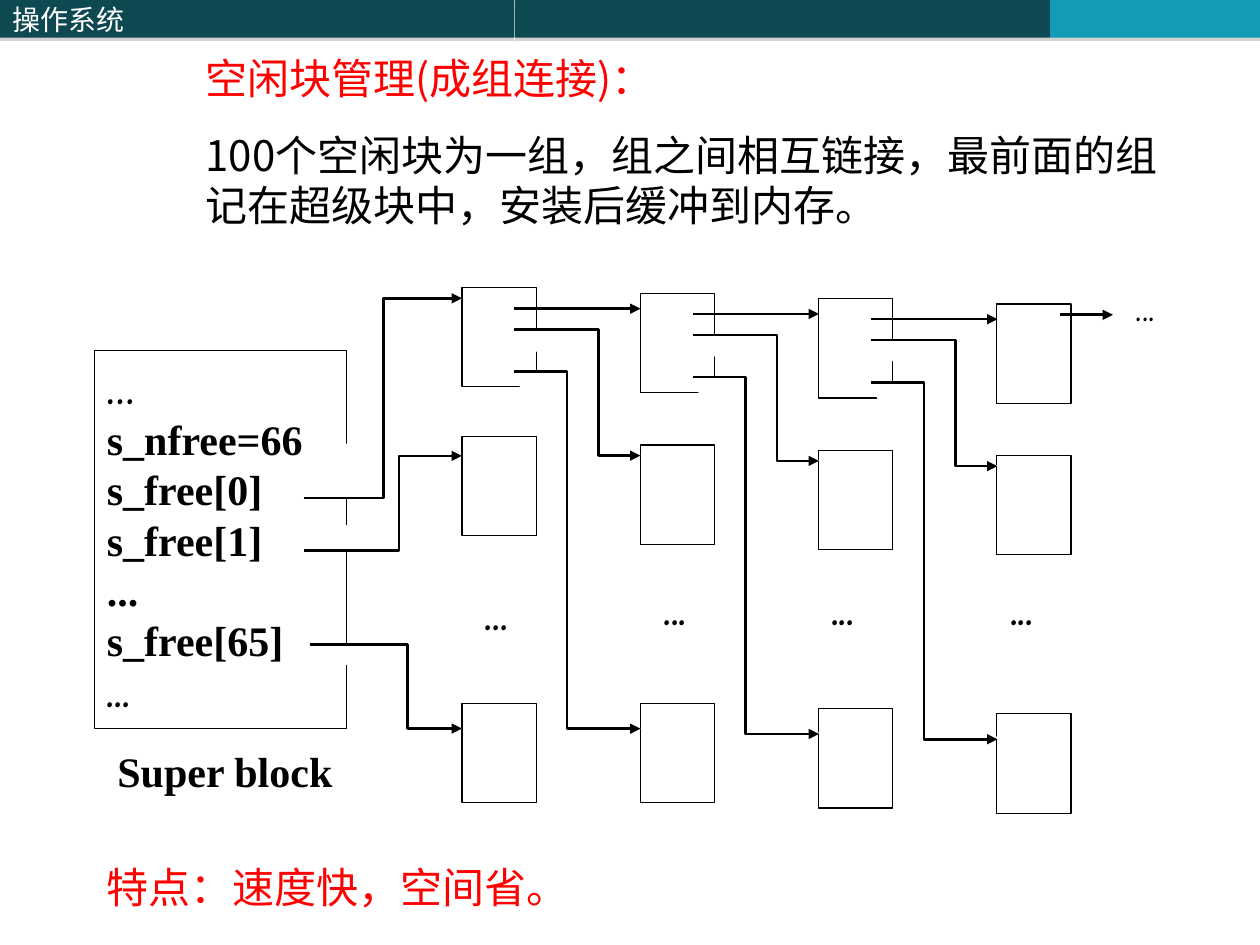
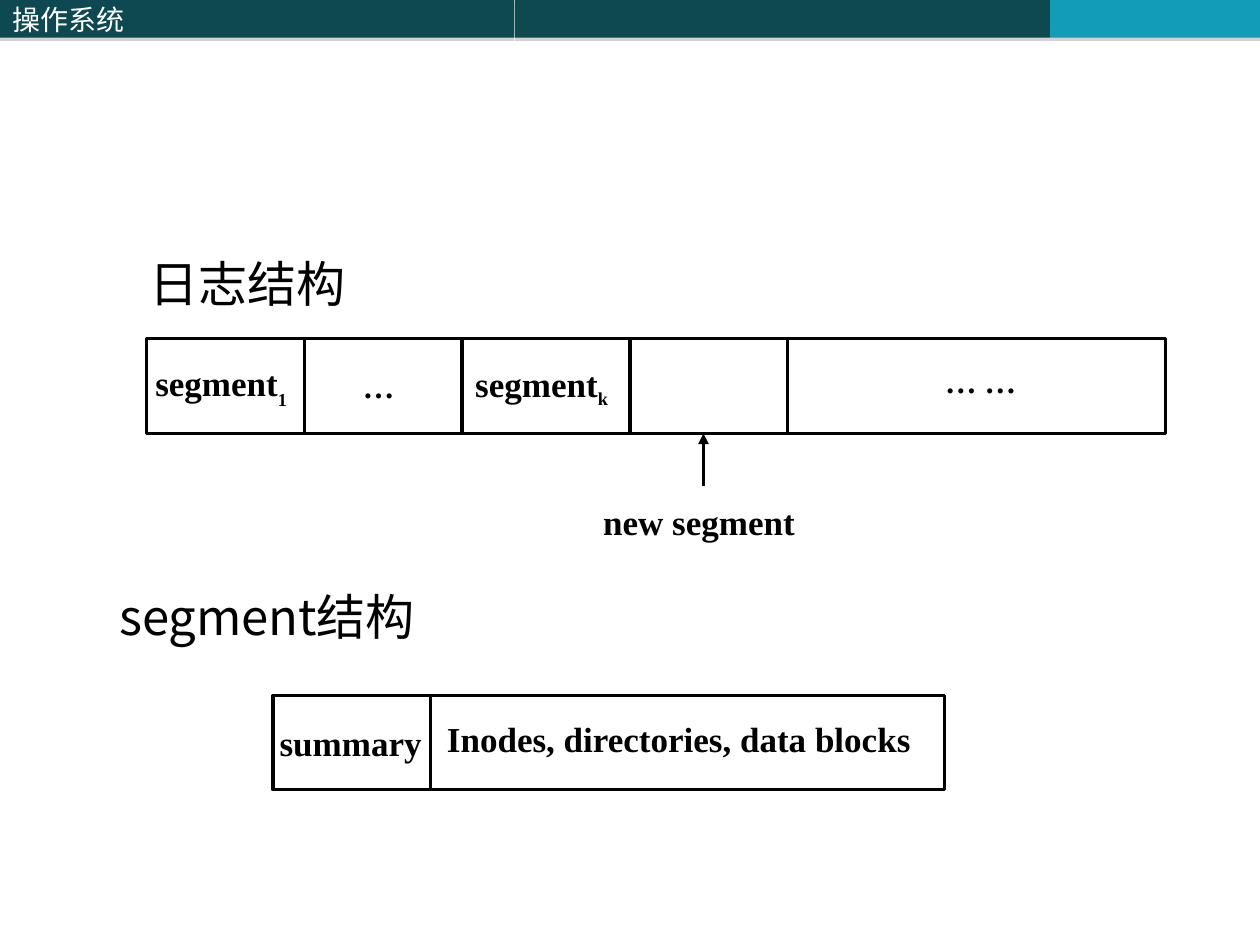
from lxml import etree
from pptx import Presentation
from pptx.dml.color import RGBColor
from pptx.enum.shapes import MSO_CONNECTOR, MSO_SHAPE
from pptx.enum.text import MSO_ANCHOR, MSO_AUTO_SIZE, PP_ALIGN
from pptx.oxml import parse_xml
from pptx.oxml.ns import qn
from pptx.util import Pt

RECT, LINE = MSO_SHAPE.RECTANGLE, MSO_CONNECTOR.STRAIGHT
LEFT, MID = PP_ALIGN.LEFT, PP_ALIGN.CENTER
TOP, HALF = MSO_ANCHOR.TOP, MSO_ANCHOR.MIDDLE
FIXED = MSO_AUTO_SIZE.NONE
HEX = {"dark": "0E4851", "blue": "139CB7", "red": "FF0000", "ink": "000000", "white": "FFFFFF"}
HAN, ROMAN, COMIC = "Noto Sans CJK SC", "Times New Roman", "Comic Neue"
SHADE = (
    '<a:effectLst xmlns:a="http://schemas.openxmlformats.org/drawingml/2006/main">'
    '<a:outerShdw blurRad="0" dist="22860" dir="5400000"><a:srgbClr val="808080">'
    '<a:alpha val="35000"/></a:srgbClr></a:outerShdw></a:effectLst>'
)


def tint(name):
    """Return a named colour."""
    return RGBColor.from_string(HEX[name])


def write(shape, lines, size=24, font=ROMAN, color="ink", bold=False,
          align=LEFT, anchor=TOP, wrap=True, lead=None):
    """Fill a shape with lines, each a string or a list of (text, size, shift) runs."""
    frame = shape.text_frame
    frame.auto_size, frame.word_wrap, frame.vertical_anchor = FIXED, wrap, anchor
    frame.margin_left = frame.margin_right = Pt(7.2)
    frame.margin_top = frame.margin_bottom = Pt(3.6)
    for num, line in enumerate(lines):
        para = frame.add_paragraph() if num else frame.paragraphs[0]
        para.alignment, para.space_before = align, Pt(0)
        if lead:
            para.line_spacing = Pt(lead)
        parts = [(line, size, 0)] if isinstance(line, str) else line
        for text, points, shift in parts:
            run = para.add_run()
            run.text = text
            run.font.size, run.font.bold, run.font.name = Pt(points), bold, font
            run.font.color.rgb = tint(color)
            props = run.font._element
            etree.SubElement(props, qn("a:ea")).set("typeface", font)
            if shift:
                props.set("baseline", str(shift * 1000))
    return shape


def paint(shape, fill=None, line=None):
    """Set the fill and outline width of a shape, with no shadow."""
    shape.shadow.inherit = False
    if fill:
        shape.fill.solid()
        shape.fill.fore_color.rgb = tint(fill)
    else:
        shape.fill.background()
    if line:
        shape.line.color.rgb, shape.line.width = tint("ink"), Pt(line)
    else:
        shape.line.fill.background()
    return shape


def block(slide, x, y, wide, high, fill=None, line=None):
    """Add a plain rectangle."""
    return paint(slide.shapes.add_shape(RECT, Pt(x), Pt(y), Pt(wide), Pt(high)), fill, line)


def label(slide, x, y, wide, high, lines, **style):
    """Add a text box."""
    return write(slide.shapes.add_textbox(Pt(x), Pt(y), Pt(wide), Pt(high)), lines, **style)


def note(slide, x, y, parts, size=20):
    """Add a bold label centred on a point."""
    label(slide, x - 60, y - 15, 120, 30, [parts], size=size, bold=True,
          align=MID, anchor=HALF, wrap=False)


def tip(line):
    """Put an arrowhead at the end of a line."""
    etree.SubElement(line._get_or_add_ln(), qn("a:tailEnd")).set("type", "triangle")


def rule(slide, x, y, to_x, to_y, width=1.75, head=False):
    """Draw a straight line, with an arrowhead on request."""
    line = slide.shapes.add_connector(LINE, Pt(x), Pt(y), Pt(to_x), Pt(to_y))
    line.line.color.rgb, line.line.width = tint("ink"), Pt(width)
    etree.SubElement(line._element.spPr, qn("a:effectLst"))
    if head:
        tip(line.line)


def elbow(slide, x, y, bend, to_x, to_y):
    """Draw a stepped arrow that turns at bend."""
    pen = slide.shapes.build_freeform(Pt(x), Pt(y))
    steps = [(bend, y), (bend, to_y), (to_x, to_y)]
    pen.add_line_segments([(Pt(a), Pt(b)) for a, b in steps], close=False)
    tip(paint(pen.convert_to_shape(), "white", 1.5).line)


def place(shape, x, y, wide, high):
    """Move a placeholder."""
    shape.left, shape.top, shape.width, shape.height = Pt(x), Pt(y), Pt(wide), Pt(high)
    return shape


def band(slide):
    """Draw the band across the top."""
    for x, wide, fill in [(0, 293.7, "dark"), (294, 306, "dark"), (600, 120, "blue")]:
        bar = block(slide, x, 0, wide, 21.6, fill)
        props = bar._element.spPr
        props.replace(props.find(qn("a:effectLst")), parse_xml(SHADE))
        if x == 0:
            write(bar, ["操作系统"], size=16, font=HAN, color="white", anchor=HALF)


def heads(slide, x, y, wide):
    """Place the title and the body of the free block slide."""
    title = place(slide.shapes.title, x, y, wide, 36)
    write(title, ["空闲块管理(成组连接)："], font=HAN, color="red", lead=28.6)
    body = place(slide.placeholders[1], x, y + 44, wide, 66)
    write(body, ["100个空闲块为一组，组之间相互链接，最前面的组记在超级块中，安装后缓冲到内存。"],
          font=HAN, lead=28.6)
    props = body.text_frame.paragraphs[0]._p.get_or_add_pPr()
    props.set("marL", "0")
    props.set("indent", "0")
    etree.SubElement(props, qn("a:buNone"))


def super_block(slide, x, y):
    """Draw the super block and its caption."""
    rows = ["…", "s_nfree=66", "s_free[0]", "s_free[1]", "...", "s_free[65]", "..."]
    box = block(slide, x, y, 144, 216, "white", 0.75)
    write(box, rows, bold=True, anchor=HALF, lead=28.8)
    paras = box.text_frame.paragraphs
    for para in (paras[0], paras[-1]):
        para.runs[0].font.name = COMIC
    label(slide, x + 6, y + 222.4, 138, 36, ["Super block"], bold=True, lead=28.8)


def dots(slide, x, y, bold=True):
    """Add an ellipsis."""
    label(slide, x, y, 42, 36, ["..."], font=COMIC, bold=bold, lead=28.8)


def group(slide, x, tops):
    """Draw one column of free blocks."""
    for y in tops:
        block(slide, x, y, 42.6, 56.8, "white", 0.75)


def link(slide, x, y):
    """Join one column to the next."""
    rule(slide, x, y, x + 72, y, 1.5, True)
    for bend, drop, rise in [(48, 12, 72), (30, 36, 204)]:
        elbow(slide, x, y + drop, x + bend, x + 72, y + drop + rise)


def chain(slide, x, y):
    """Draw the linked columns from the top left of the first block."""
    group(slide, x, [y, y + 85, y + 237.6])
    for sx, sy, bend, end in [(-90.5, 120.2, -45, 6.2), (-90, 150.2, -36, 96.2),
                              (-87, 204, -31, 252)]:
        elbow(slide, x + sx, y + sy, x + bend, x, y + end)
    dots(slide, x + 6, y + 168.4)
    for num in range(3):
        sink = y + 3 * num
        group(slide, x + 101.8 * (num + 1), [sink + 3.4, sink + 90, sink + 237.6])
        link(slide, x + 30 + 102 * num, sink + 12.1)
    for left in (108.2, 204, 306.2):
        dots(slide, x + left, y + 165.4)
    rule(slide, x + 342, y + 15.6, x + 372, y + 15.6, 1.5, True)
    dots(slide, x + 378, y - 8, bold=False)


def strip(slide, x, y, wide, cuts):
    """Draw a row split at the given offsets."""
    block(slide, x, y, wide, 54, line=1.75)
    for cut in cuts:
        rule(slide, x + cut, y, x + cut, y + 54)


def log(slide, x, y):
    """Draw the log row, its labels and the new segment arrow."""
    strip(slide, x, y, 582, [90, 180, 276, 366])
    note(slide, x + 42.4, y + 26.7, [("segment", 20, 0), ("1", 18, -30)])
    note(slide, x + 132.4, y + 26.7, "…", 18)
    note(slide, x + 225.5, y + 26.7, [("segment", 20, 0), ("k", 18, -25)])
    note(slide, x + 476.4, y + 24, "… …", 18)
    rule(slide, x + 318, y + 84, x + 318, y + 54, 2, True)
    note(slide, x + 315.5, y + 104.5, "new segment")


def segment(slide, x, y):
    """Draw the row of one segment."""
    strip(slide, x, y, 384, [90])
    note(slide, x + 44.4, y + 26.7, "summary")
    note(slide, x + 232, y + 24.5, "Inodes, directories, data blocks")


def free_slide(deck):
    """Build the slide on free block groups."""
    slide = deck.slides.add_slide(deck.slide_layouts[1])
    band(slide)
    heads(slide, 110.2, 26.7, 561.6)
    super_block(slide, 54, 200.2)
    chain(slide, 264, 164.3)
    label(slide, 54, 488.9, 564, 36, ["特点：速度快，空间省。"], font=HAN, color="red", lead=28.6)


def log_slide(deck):
    """Build the slide on the log structure."""
    slide = deck.slides.add_slide(deck.slide_layouts[5])
    band(slide)
    style = {"size": 28, "font": HAN, "align": MID, "anchor": HALF, "wrap": False}
    write(place(slide.shapes.title, 48, 140.4, 187.2, 42), ["日志结构"], **style)
    log(slide, 84, 193.7)
    label(slide, 44.6, 331.2, 216, 42, ["segment结构"], **style)
    segment(slide, 156, 397.4)


def main():
    """Build and save the deck."""
    deck = Presentation()
    deck.slide_width, deck.slide_height = Pt(720), Pt(540)
    free_slide(deck)
    log_slide(deck)
    deck.save("out.pptx")


if __name__ == "__main__":
    main()
